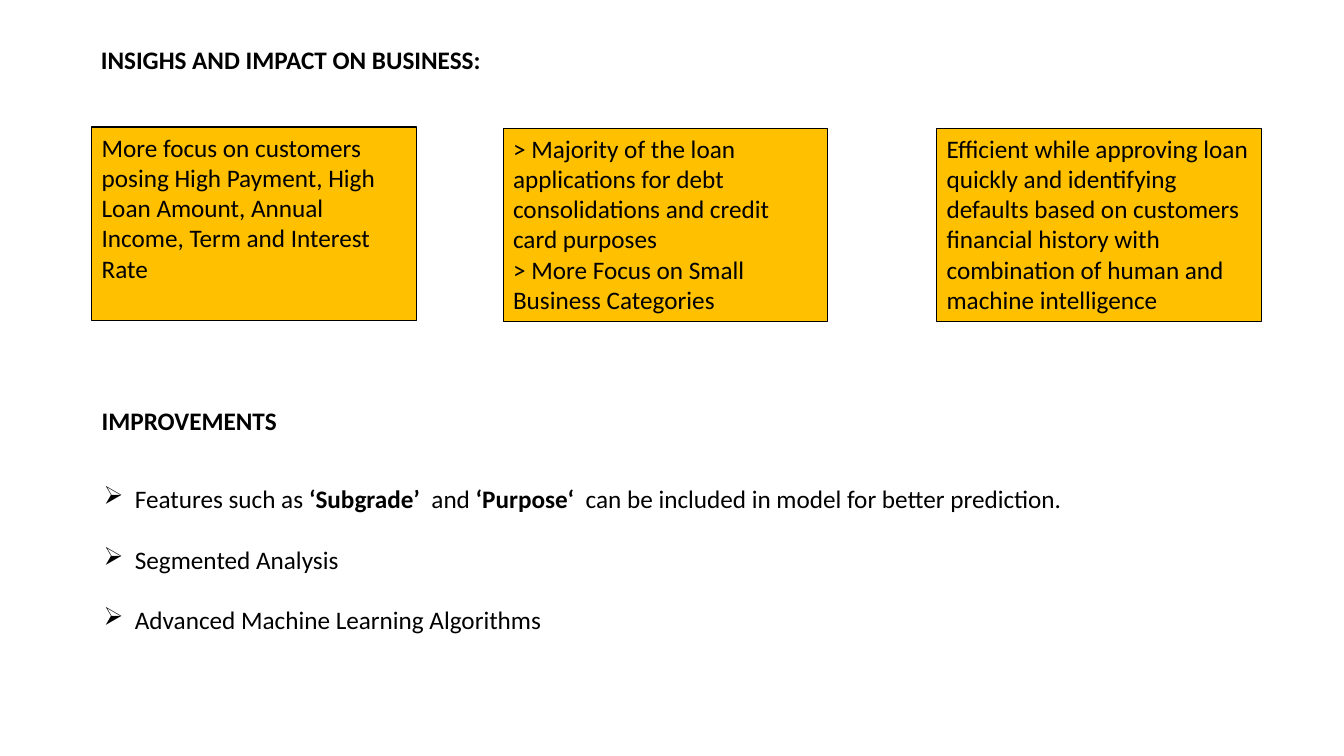
from dataclasses import dataclass

from lxml.etree import SubElement
from pptx import Presentation
from pptx.dml.color import RGBColor
from pptx.enum.shapes import MSO_SHAPE as Preset
from pptx.enum.text import MSO_ANCHOR as Anchor, MSO_AUTO_SIZE as AutoSize, PP_ALIGN as Align
from pptx.oxml.ns import qn
from pptx.shapes.autoshape import Shape
from pptx.slide import Slide
from pptx.util import Inches, Pt


@dataclass(frozen=True)
class Theme:
    font: str = "Calibri"
    size: float = 18
    ink: RGBColor = RGBColor(0x00, 0x00, 0x00)
    card: RGBColor = RGBColor(0xFF, 0xC0, 0x00)
    outline: float = 0.75
    bullet: str = "➢"
    bullet_gap: float = 21.6


@dataclass(frozen=True)
class Span:
    text: str
    bold: bool = False


@dataclass(frozen=True)
class Frame:
    left: float
    top: float
    width: float
    height: float


@dataclass(frozen=True)
class Card:
    left: float
    top: float
    lines: tuple[str, ...]


THEME = Theme()
CARD_WIDTH, CARD_HEIGHT = 3.22, 1.92
BULLET_INDENT = 0.31

INSIGHTS = (
    Card(0.91, 1.26, (
        "More focus on customers posing High Payment, High Loan Amount, "
        "Annual Income, Term and Interest Rate",
    )),
    Card(4.99, 1.27, (
        "> Majority of the loan applications for debt consolidations and credit card purposes",
        "> More Focus on Small Business Categories",
    )),
    Card(9.29, 1.27, (
        "Efficient while approving loan quickly and identifying defaults based on customers "
        "financial history with combination of human and machine intelligence",
    )),
)

IMPROVEMENTS = (
    (
        Span("Features such as "),
        Span("‘Subgrade’", bold=True),
        Span("  and "),
        Span("‘Purpose‘ ", bold=True),
        Span(" can be included in model for better prediction."),
    ),
    (Span("Segmented Analysis"),),
    (Span("Advanced Machine Learning Algorithms"),),
)


def place(box: Shape, frame: Frame) -> None:
    box.left, box.top = Inches(frame.left), Inches(frame.top)
    box.width, box.height = Inches(frame.width), Inches(frame.height)


def write(box: Shape, lines: tuple[tuple[Span, ...], ...]) -> None:
    text = box.text_frame
    text.word_wrap = True
    text.auto_size = AutoSize.NONE
    text.vertical_anchor = Anchor.TOP
    text.margin_left = text.margin_right = Inches(0.1)
    text.margin_top = text.margin_bottom = Inches(0.05)
    for index, line in enumerate(lines):
        para = text.add_paragraph() if index else text.paragraphs[0]
        para.alignment = Align.LEFT
        for span in line:
            run = para.add_run()
            run.text = span.text
            run.font.name = THEME.font
            run.font.size = Pt(THEME.size)
            run.font.bold = span.bold
            run.font.color.rgb = THEME.ink


def add_text(page: Slide, frame: Frame, lines: tuple[tuple[Span, ...], ...]) -> Shape:
    box = page.shapes.add_textbox(0, 0, 0, 0)
    place(box, frame)
    write(box, lines)
    return box


def add_card(page: Slide, card: Card) -> None:
    box = page.shapes.add_shape(Preset.RECTANGLE, 0, 0, 0, 0)
    place(box, Frame(card.left, card.top, CARD_WIDTH, CARD_HEIGHT))
    box.shadow.inherit = False
    box.fill.solid()
    box.fill.fore_color.rgb = THEME.card
    box.line.color.rgb = THEME.ink
    box.line.width = Pt(THEME.outline)
    write(box, tuple((Span(line),) for line in card.lines))


def add_bullets(box: Shape) -> None:
    paras = box.text_frame.paragraphs
    for para in paras:
        if para is not paras[-1]:
            para.space_after = Pt(THEME.bullet_gap)
        properties = para._p.get_or_add_pPr()
        properties.set("marL", str(Inches(BULLET_INDENT)))
        properties.set("indent", str(-Inches(BULLET_INDENT)))
        SubElement(properties, qn("a:buChar")).set("char", THEME.bullet)


def build() -> None:
    deck = Presentation()
    deck.slide_width, deck.slide_height = Inches(13.33), Inches(7.5)
    page = deck.slides.add_slide(deck.slide_layouts.get_by_name("Title Only"))

    title = page.shapes.title
    place(title, Frame(0.9, 0.39, 4.11, 0.4))
    write(title, ((Span("INSIGHS AND IMPACT ON BUSINESS:", bold=True),),))

    for card in INSIGHTS:
        add_card(page, card)

    add_text(page, Frame(0.91, 3.97, 4.11, 0.4), ((Span("IMPROVEMENTS", bold=True),),))
    add_bullets(add_text(page, Frame(0.93, 4.75, 11.41, 1.62), IMPROVEMENTS))

    deck.save("out.pptx")


build()
